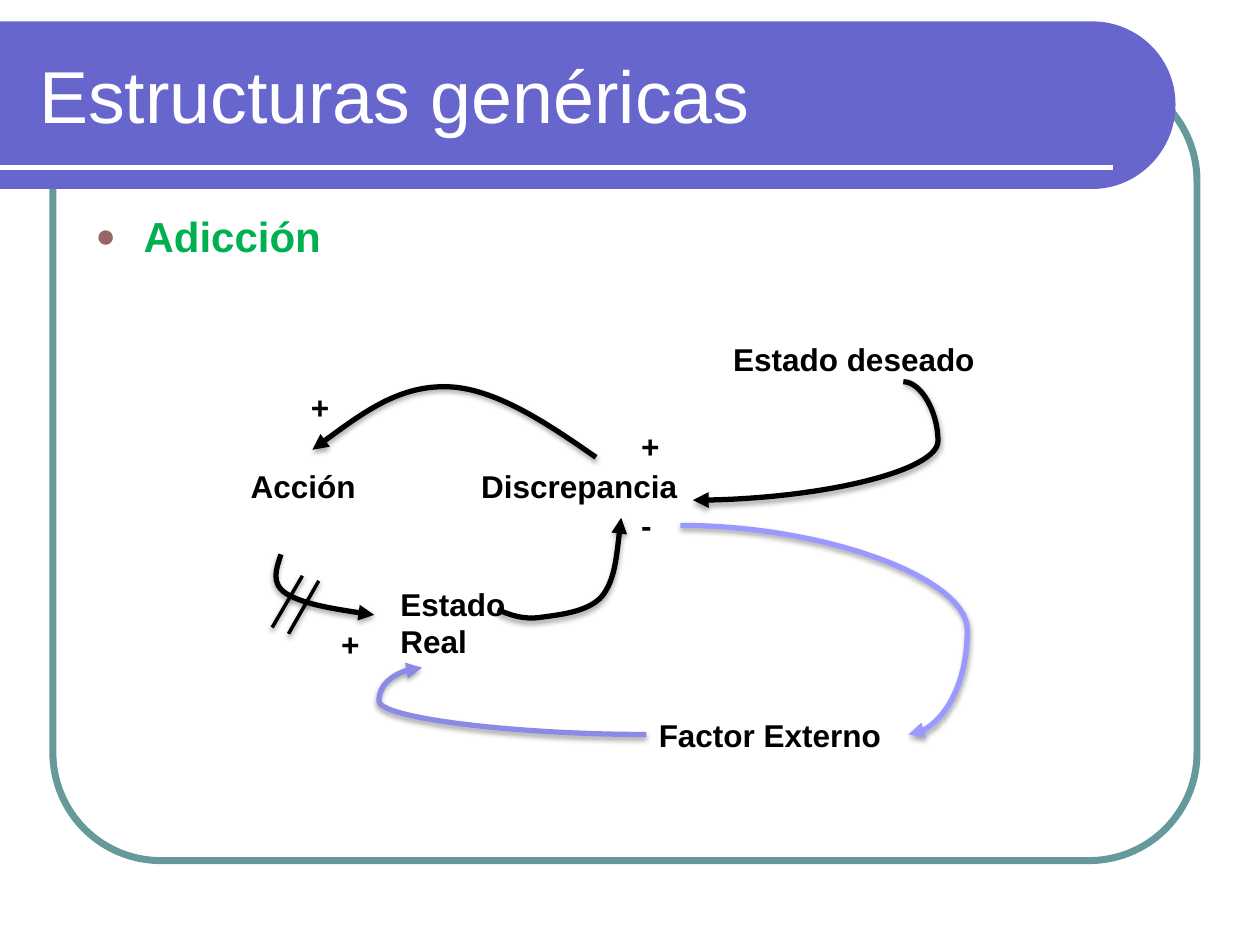
from lxml.etree import SubElement
from pptx import Presentation
from pptx.dml.color import RGBColor
from pptx.enum.shapes import MSO_CONNECTOR as Connector, MSO_SHAPE as Preset
from pptx.enum.text import MSO_ANCHOR as Anchor, MSO_AUTO_SIZE as AutoSize, PP_ALIGN as Align
from pptx.oxml.ns import qn
from pptx.util import Emu, Inches, Pt

BLACK, WHITE = "000000", "FFFFFF"

LABELS = [
    ("Estado deseado", 5.72, 2.65, 2.39, 0.4),
    ("Discrepancia", 3.72, 3.66, 1.83, 0.4),
    ("Estado Real", 3.08, 4.59, 1.13, 0.71),
    ("Acción", 1.89, 3.66, 1.35, 0.4),
    ("Factor Externo", 5.13, 5.63, 2.08, 0.4),
    ("+", 4.99, 3.34, 0.24, 0.4),
    ("-", 4.99, 3.97, 0.24, 0.4),
    ("+", 2.37, 3.03, 0.24, 0.4),
    ("+", 2.61, 4.91, 0.26, 0.4),
]
LOOP_ARROWS = [
    ((3.95, 4.84), [[(4.05, 4.88), (4.15, 4.92), (4.29, 4.9)],
                    [(4.43, 4.88), (4.67, 4.86), (4.78, 4.73)],
                    [(4.88, 4.6), (4.9, 4.35), (4.93, 4.11)]]),
    ((4.73, 3.63), [[(4.33, 3.35), (3.92, 3.08), (3.55, 3.07)],
                    [(3.17, 3.06), (2.83, 3.31), (2.48, 3.57)]]),
    ((2.23, 4.4), [[(2.19, 4.52), (2.15, 4.63), (2.27, 4.71)],
                   [(2.4, 4.79), (2.68, 4.84), (2.97, 4.88)]]),
]
OUTER_ARROWS = [
    ((7.17, 3.03), (5.5, 3.97), -0.165, BLACK),
    ((5.13, 5.83), (3.35, 5.3), 1.192, "8A8AE7"),
    ((5.4, 4.17), (7.21, 5.83), 1.258, "9999FF"),
]
DELAY_MARKS = [((2.4, 4.57), (2.16, 4.98)), ((2.53, 4.61), (2.29, 5.03))]


def color(hex_code):
    return RGBColor.from_string(hex_code)


def box(left, top, width, height):
    return [Inches(length) for length in (left, top, width, height)]


def style_line(drawn, hex_code, points, arrow=False):
    drawn.line.color.rgb = color(hex_code)
    drawn.line.width = Pt(points)
    if arrow:
        SubElement(drawn.line._get_or_add_ln(), qn("a:tailEnd"), type="triangle")


def add_effects(drawn, alpha=None):
    properties = drawn._element.spPr
    for existing in properties.findall(qn("a:effectLst")):
        properties.remove(existing)
    effects = SubElement(properties, qn("a:effectLst"))
    if alpha:
        shadow = SubElement(effects, qn("a:outerShdw"), blurRad=str(Pt(3.1)),
                            dist=str(Pt(1.8)), dir="5400000", rotWithShape="0")
        tint = SubElement(shadow, qn("a:srgbClr"), val=BLACK)
        SubElement(tint, qn("a:alpha"), val=str(alpha * 1000))


def hundredths(point):
    return tuple(round(length * 100) for length in point)


def add_outline(shapes, start, segments, close=False):
    points = [hundredths(point) for segment in segments for point in segment]
    builder = shapes.build_freeform(*hundredths(start), scale=Inches(0.01))
    builder.add_line_segments(points, close=close)
    outline = builder.convert_to_shape()
    steps = iter(list(outline._element.iter(qn("a:lnTo"))))
    for segment in segments:
        vertices = [next(steps) for _ in segment]
        if len(segment) == 3:
            curve = vertices[0].getparent().makeelement(qn("a:cubicBezTo"), {})
            vertices[0].addprevious(curve)
            for vertex in vertices:
                curve.append(vertex[0])
                vertex.getparent().remove(vertex)
    return outline


def add_line(shapes, kind, start, end):
    return shapes.add_connector(kind, *box(*start, *end))


def add_loop_arrow(shapes, start, segments):
    arrow = add_outline(shapes, start, segments)
    arrow.fill.background()
    style_line(arrow, BLACK, 3, arrow=True)
    add_effects(arrow, alpha=35)


def add_outer_arrow(shapes, start, end, bend, hex_code):
    arrow = add_line(shapes, Connector.CURVE, start, end)
    geometry = arrow._element.spPr.find(qn("a:prstGeom"))
    guides = geometry.find(qn("a:avLst"))
    SubElement(guides, qn("a:gd"), name="adj1", fmla=f"val {round(bend * 100000)}")
    style_line(arrow, hex_code, 3, arrow=True)
    add_effects(arrow, alpha=35)


def add_delay_mark(shapes, start, end):
    mark = add_line(shapes, Connector.STRAIGHT, start, end)
    style_line(mark, BLACK, 2)
    add_effects(mark, alpha=38)


def write(frame, text, size, hex_code, bold):
    frame.word_wrap = True
    frame.auto_size = AutoSize.NONE
    frame.text = text
    paragraph = frame.paragraphs[0]
    paragraph.alignment = Align.LEFT
    font = paragraph.font
    font.name, font.size, font.bold = "Arial", Pt(size), bold
    font.color.rgb = color(hex_code)
    return paragraph


def add_label(shapes, text, *place):
    label = shapes.add_textbox(*box(*place))
    write(label.text_frame, text, 18, BLACK, True)


def add_backdrop(shapes):
    border = shapes.add_shape(Preset.ROUNDED_RECTANGLE, *box(0.42, 0.58, 9.08, 6.25))
    border.adjustments[0] = 0.137
    border.fill.background()
    border.shadow.inherit = False
    style_line(border, "669999", 4)

    banner = add_outline(shapes, (0, 0.17), [
        [(8.67, 0.17)],
        [(9.03, 0.17), (9.33, 0.46), (9.33, 0.83)],
        [(9.33, 1.2), (9.03, 1.5), (8.67, 1.5)],
        [(0, 1.5)],
    ], close=True)
    banner.fill.solid()
    banner.fill.fore_color.rgb = color("6666CC")
    banner.line.fill.background()
    banner.shadow.inherit = False

    rule = add_line(shapes, Connector.STRAIGHT, (0, 1.33), (8.83, 1.33))
    style_line(rule, WHITE, 3)
    add_effects(rule)


def place_placeholder(shapes, holder, *place):
    holder.left, holder.top, holder.width, holder.height = box(*place)
    shapes.element.append(holder._element)
    return holder.text_frame


def add_bullet(paragraph):
    properties = paragraph._p.get_or_add_pPr()
    indent = Inches(0.38)
    properties.set("marL", str(indent))
    properties.set("indent", str(Emu(-indent)))
    for leftover in properties.findall(qn("a:spcBef")):
        properties.remove(leftover)
    spacing = properties.makeelement(qn("a:spcBef"), {})
    properties.insert(0, spacing)
    SubElement(spacing, qn("a:spcPct"), val="20000")
    bullet = [("buClr", {}), ("buSzPct", {"val": "80000"}),
              ("buFont", {"typeface": "Arial"}), ("buChar", {"char": "●"})]
    for position, (tag, settings) in enumerate(bullet, 1):
        properties.insert(position, properties.makeelement(qn(f"a:{tag}"), settings))
    SubElement(properties.find(qn("a:buClr")), qn("a:srgbClr"), val="996666")


def main():
    deck = Presentation()
    deck.slide_width, deck.slide_height = Inches(10), Inches(7.5)
    slide = deck.slides.add_slide(deck.slide_layouts[1])
    shapes = slide.shapes
    add_backdrop(shapes)

    heading = place_placeholder(shapes, shapes.title, 0.21, 0.25, 8.77, 1)
    heading.vertical_anchor = Anchor.MIDDLE
    write(heading, "Estructuras genéricas", 42, WHITE, False)
    topic = place_placeholder(shapes, slide.placeholders[1], 0.66, 1.62, 8.67, 4.83)
    add_bullet(write(topic, "Adicción", 24, "00B050", True))

    for label in LABELS:
        add_label(shapes, *label)
    for arrow in LOOP_ARROWS:
        add_loop_arrow(shapes, *arrow)
    for arrow in OUTER_ARROWS:
        add_outer_arrow(shapes, *arrow)
    for mark in DELAY_MARKS:
        add_delay_mark(shapes, *mark)
    deck.save("out.pptx")


if __name__ == "__main__":
    main()
